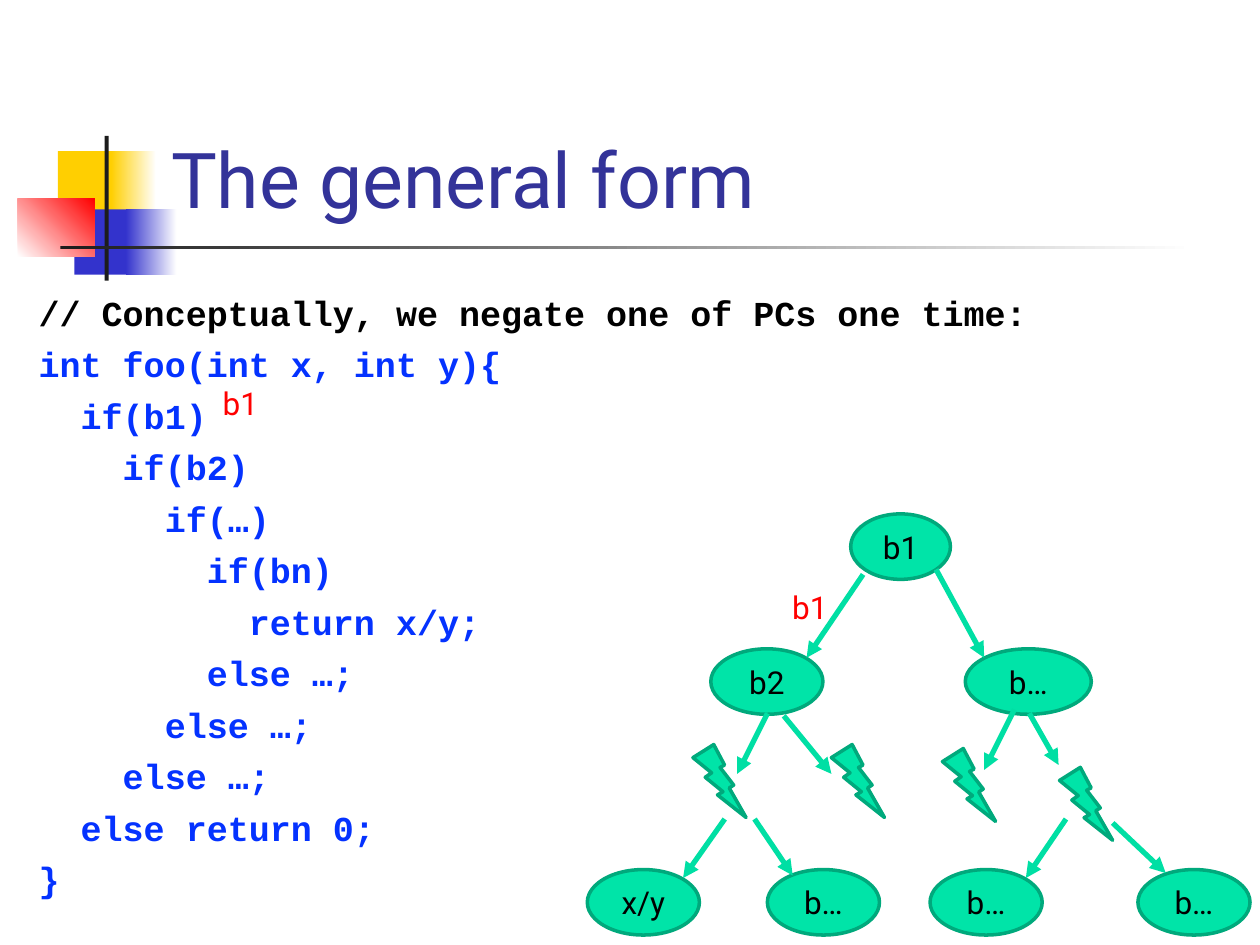
from lxml import etree
from pptx import Presentation
from pptx.dml.color import RGBColor
from pptx.enum.shapes import MSO_CONNECTOR, MSO_SHAPE
from pptx.enum.text import MSO_ANCHOR, PP_ALIGN
from pptx.oxml.ns import qn
from pptx.util import Cm, Pt

RECT = MSO_SHAPE.RECTANGLE
OVAL = MSO_SHAPE.OVAL
BOLT = MSO_SHAPE.LIGHTNING_BOLT
LINE = MSO_CONNECTOR.STRAIGHT
TOP, MIDDLE, BOTTOM = MSO_ANCHOR.TOP, MSO_ANCHOR.MIDDLE, MSO_ANCHOR.BOTTOM
CENTER = PP_ALIGN.CENTER

SANS, MONO = "Roboto", "Courier New"
WHITE, BLACK, RED = "FFFFFF", "000000", "FF0000"
YELLOW, BLUE, DARK = "FFCF01", "3333CC", "1C1C1C"
GREEN, EDGE, ARROW = "00E4A8", "00A97C", "00DFA4"

NOTE = "// Conceptually, we negate one of PCs one time:"
CODE = """int foo(int x, int y){
  if(b1)
    if(b2)
      if(…)
        if(bn)
          return x/y;
        else …;
      else …;
    else …;
  else return 0;
}"""

BLOCKS = [
    (1.17, 3.05, 1.22, 1.32, YELLOW, None, 0),
    (2.24, 3.05, 0.91, 1.32, YELLOW, WHITE, 0),
    (1.5, 4.22, 1.17, 1.32, BLUE, None, 0),
    (2.54, 4.22, 1.02, 1.32, BLUE, WHITE, 0),
    (0.36, 4.01, 1.55, 1.17, WHITE, RED, 45),
    (2.11, 2.74, 0.08, 2.92, DARK, None, 0),
    (1.22, 4.95, 22.86, 0.08, DARK, WHITE, 0),
]
NODES = [
    ("b1", 17.15, 10.36, 2.01),
    ("b2", 14.33, 13.08, 2.26),
    ("b…", 19.46, 13.08, 2.54),
    ("x/y", 11.84, 17.53, 2.26),
    ("b…", 15.47, 17.53, 2.26),
    ("b…", 18.75, 17.53, 2.26),
    ("b…", 22.94, 17.53, 2.26),
]
ARROWS = [
    (17.4, 11.58, 16.26, 13.26),
    (18.87, 11.48, 19.84, 13.26),
    (15.47, 14.38, 14.86, 15.6),
    (15.8, 14.43, 16.76, 15.6),
    (20.45, 14.3, 19.84, 15.52),
    (20.75, 14.38, 21.34, 15.42),
    (14.61, 16.51, 13.77, 17.7),
    (15.21, 16.51, 15.98, 17.65),
    (21.49, 16.51, 20.68, 17.7),
    (22.43, 16.59, 23.5, 17.6),
]
BOLTS = [(13.97, 15.01), (16.76, 15.01), (19, 15.09), (21.36, 15.47)]


def rgb(code):
    """Turn a hex string into a colour."""
    return RGBColor.from_string(code)


def add_run(para, text, size, color, font=SANS, bold=False):
    """Add one styled run to a paragraph."""
    run = para.add_run()
    run.text = text
    run.font.size = Pt(size)
    run.font.name = font
    run.font.bold = bold
    run.font.color.rgb = rgb(color)


def add_box(slide, x, y, w, h, anchor=TOP):
    """Add a wrapping text box and return its frame."""
    frame = slide.shapes.add_textbox(Cm(x), Cm(y), Cm(w), Cm(h)).text_frame
    frame.word_wrap = True
    frame.vertical_anchor = anchor
    return frame


def add_block(slide, x, y, w, h, start, end, angle):
    """Add a borderless rectangle, plain or fading to a second colour."""
    shape = slide.shapes.add_shape(RECT, Cm(x), Cm(y), Cm(w), Cm(h))
    shape.shadow.inherit = False
    shape.line.fill.background()
    if end is None:
        shape.fill.solid()
        shape.fill.fore_color.rgb = rgb(start)
        return
    shape.fill.gradient()
    shape.fill.gradient_angle = angle
    for stop, color in zip(shape.fill.gradient_stops, (start, end)):
        stop.color.rgb = rgb(color)


def add_green(slide, kind, x, y, w, h):
    """Add an outlined green shape."""
    shape = slide.shapes.add_shape(kind, Cm(x), Cm(y), Cm(w), Cm(h))
    shape.shadow.inherit = False
    shape.fill.solid()
    shape.fill.fore_color.rgb = rgb(GREEN)
    shape.line.color.rgb = rgb(EDGE)
    shape.line.width = Pt(2)
    return shape


def add_node(slide, text, x, y, w):
    """Add a tree node with a centred label."""
    frame = add_green(slide, OVAL, x, y, w, 1.32).text_frame
    frame.word_wrap = False
    frame.vertical_anchor = MIDDLE
    para = frame.paragraphs[0]
    para.alignment = CENTER
    add_run(para, text, 18, BLACK)


def add_arrow(slide, *ends):
    """Add a straight arrow between two points."""
    link = slide.shapes.add_connector(LINE, *map(Cm, ends))
    link.line.color.rgb = rgb(ARROW)
    link.line.width = Pt(3)
    tip = etree.SubElement(link.line._get_or_add_ln(), qn("a:tailEnd"))
    tip.set("type", "triangle")
    etree.SubElement(link._element.spPr, qn("a:effectLst"))


def add_code(slide):
    """Add the comment and the code, one paragraph a line."""
    frame = add_box(slide, 0.53, 5.61, 21.59, 11.43)
    frame.margin_top = Cm(0.26)
    para = frame.paragraphs[0]
    add_run(para, NOTE, 20, BLACK, MONO, True)
    for text in CODE.splitlines():
        para = frame.add_paragraph()
        para.space_before = Pt(5.4)
        add_run(para, text, 20, "0432FF", MONO, True)


def main():
    """Build and save the slide."""
    deck = Presentation()
    deck.slide_width, deck.slide_height = Cm(25.4), Cm(19.05)
    slide = deck.slides.add_slide(deck.slide_layouts[6])
    for block in BLOCKS:
        add_block(slide, *block)
    title = add_box(slide, 3.2, 0.58, 21.64, 4.06, BOTTOM)
    add_run(title.paragraphs[0], "The general form", 44, "333399")
    add_code(slide)
    for node in NODES:
        add_node(slide, *node)
    for ends in ARROWS:
        add_arrow(slide, *ends)
    for x, y in BOLTS:
        add_green(slide, BOLT, x, y, 1.07, 1.47)
    for x, y, w in [(4.24, 7.62, 6.99), (15.72, 11.73, 2.26)]:
        label = add_box(slide, x, y, w, 1.02)
        add_run(label.paragraphs[0], "b1", 18, RED)
    deck.save("out.pptx")


if __name__ == "__main__":
    main()
